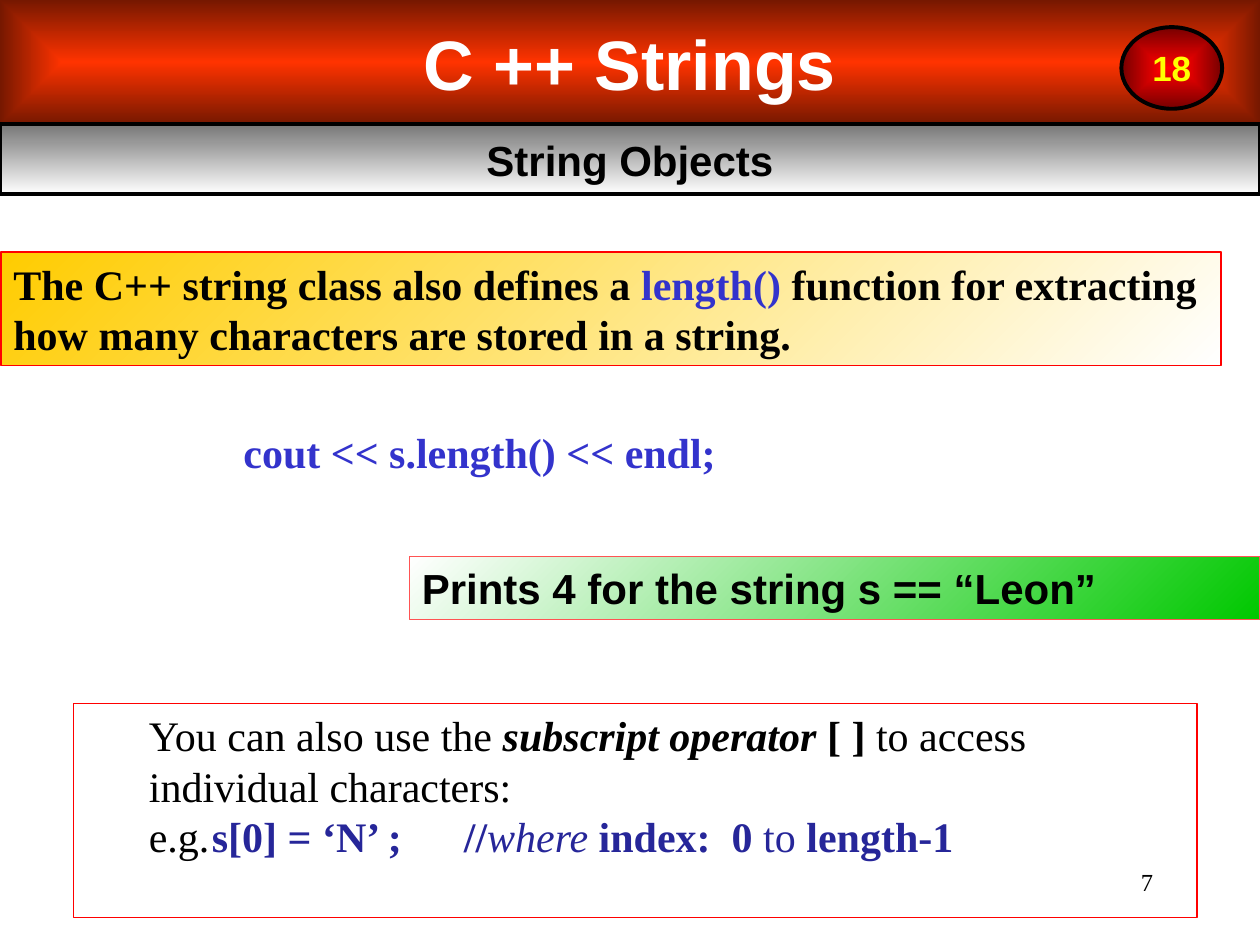
import pptx
import pptx.dml.color
import pptx.enum.shapes
import pptx.enum.text
import pptx.oxml
import pptx.oxml.ns
import pptx.util
from dataclasses import dataclass

Inches = pptx.util.Inches
Pt = pptx.util.Pt
Shape = pptx.enum.shapes.MSO_SHAPE
Align = pptx.enum.text.PP_ALIGN
Anchor = pptx.enum.text.MSO_ANCHOR

WIDTH, HEIGHT = 10, 7.5
COLUMNS, ROWS = 120, 90
SANS, SERIF = "Arial", "Times New Roman"
BLACK, WHITE, RED = "000000", "FFFFFF", "FF0000"
BLUE, NAVY = "3333CC", "262699"


@dataclass
class Box:
    """An area in inches."""
    left: float
    top: float
    width: float
    height: float

    def share(self, left, top, width, height):
        """Area inside this one, given as shares of its size."""
        return Box(self.left + left * self.width, self.top + top * self.height,
                   width * self.width, height * self.height)

    def cells(self, column, row, columns, rows):
        """Area inside this one, given in cells of the slide grid."""
        return self.share(column / COLUMNS, row / ROWS, columns / COLUMNS, rows / ROWS)

    def emu(self):
        return [Inches(side) for side in (self.left, self.top, self.width, self.height)]


def rgb(value):
    return pptx.dml.color.RGBColor.from_string(value)


def set_gradient(shape, start, end, angle=None):
    """Linear gradient at a clockwise angle, or from the centre out without one."""
    fill = shape.fill
    fill.gradient()
    for position, (stop, color) in enumerate(zip(fill.gradient_stops, (start, end))):
        stop.color.rgb = rgb(color)
        stop.position = position
    if angle is not None:
        fill.gradient_angle = 360 - angle
        return
    linear = shape._element.spPr.find(".//" + pptx.oxml.ns.qn("a:lin"))
    centre = pptx.oxml.parse_xml(
        f'<a:path {pptx.oxml.ns.nsdecls("a")} path="rect">'
        '<a:fillToRect l="50000" t="50000" r="50000" b="50000"/></a:path>')
    linear.getparent().replace(linear, centre)


def add_panel(slide, box, kind=Shape.RECTANGLE, gradient=None, line=None, weight=0.75):
    panel = slide.shapes.add_shape(kind, *box.emu())
    panel.shadow.inherit = False
    if gradient:
        set_gradient(panel, *gradient)
    else:
        panel.fill.background()
    if line:
        panel.line.color.rgb = rgb(line)
        panel.line.width = Pt(weight)
    else:
        panel.line.fill.background()
    return panel


def write(shape, lines, size, font=SERIF, color=BLACK, bold=True,
          align=Align.LEFT, anchor=Anchor.TOP, wrap=True):
    """Each line is a list of (text, overrides) runs."""
    frame = shape.text_frame
    frame.word_wrap = wrap
    frame.vertical_anchor = anchor
    for number, runs in enumerate(lines):
        paragraph = frame.add_paragraph() if number else frame.paragraphs[0]
        paragraph.alignment = align
        for text, overrides in runs:
            run = paragraph.add_run()
            run.text = text
            run.font.name = font
            run.font.size = Pt(size)
            run.font.bold = overrides.get("bold", bold)
            run.font.italic = overrides.get("italic", False)
            run.font.color.rgb = rgb(overrides.get("color", color))
    return frame.paragraphs


def indent(paragraph, margin, tabs=()):
    properties = paragraph._p.get_or_add_pPr()
    properties.set("marL", str(Inches(margin)))
    properties.set("indent", "0")
    if tabs:
        stops = "".join(f'<a:tab pos="{Inches(tab)}" algn="l"/>' for tab in tabs)
        properties.append(pptx.oxml.parse_xml(
            f'<a:tabLst {pptx.oxml.ns.nsdecls("a")}>{stops}</a:tabLst>'))


def add_header(slide, box):
    centred = {"font": SANS, "align": Align.CENTER, "anchor": Anchor.MIDDLE}
    title = add_panel(slide, box.share(0, 0, 1, 0.64), gradient=("FF3300", "761800"))
    write(title, [[("C ++ Strings", {})]], 40, color=WHITE, **centred)
    topic = add_panel(slide, box.share(0, 0.64, 1, 0.36),
                      gradient=("767676", WHITE, 90), line=BLACK, weight=2.25)
    write(topic, [[("String Objects", {})]], 24, **centred)
    badge = add_panel(slide, box.share(0.89, 0.14, 0.08, 0.42), Shape.OVAL,
                      gradient=(RED, "760000"), line=BLACK, weight=2.25)
    write(badge, [[("18", {})]], 20, color="FFFF00", wrap=False, **centred)


def add_code(slide, box):
    code = slide.shapes.add_textbox(*box.emu())
    lines = write(code, [[("cout << s.length() << endl;", {})]], 24, color=BLUE)
    indent(lines[0], 1)


def add_result(slide, box):
    result = add_panel(slide, box, gradient=(WHITE, "00C800", 45), line="FF5353")
    write(result, [[("Prints 4 for the string s == “Leon”", {})]], 24, font=SANS)


def add_definition(slide, box):
    definition = add_panel(slide, box, gradient=("FFCC00", WHITE, 45), line=RED)
    write(definition, [
        [("The C++ string class also defines a ", {}),
         ("length()", {"color": BLUE}),
         (" function for extracting", {})],
        [("how many characters are stored in a string.", {})]], 24)


def add_subscript(slide, box):
    strong = {"bold": True}
    navy = {"color": NAVY}
    navy_strong = {**navy, **strong}
    subscript = add_panel(slide, box, line=RED)
    rule, example = write(subscript, [
        [("You can also use the ", {}),
         ("subscript operator ", {"bold": True, "italic": True}),
         ("[ ] ", strong),
         ("to access individual characters:", {})],
        [("\te.g.\t", {}),
         ("s[0] = ‘N’ ;\t//", navy_strong),
         ("where", {**navy, "italic": True}),
         (" index:  0", navy_strong),
         (" to ", navy),
         ("length-1", navy_strong)]], 24, bold=False)
    indent(rule, 0.5)
    indent(example, 0, tabs=(1.91, 2.89, 4.81))


def add_slide_number(slide, box):
    number = slide.shapes.add_textbox(*box.emu())
    write(number, [[("7", {})]], 14, bold=False, align=Align.RIGHT)


def main():
    deck = pptx.Presentation()
    deck.slide_width, deck.slide_height = Inches(WIDTH), Inches(HEIGHT)
    slide = deck.slides.add_slide(deck.slide_layouts[6])
    page = Box(0, 0, WIDTH, HEIGHT)

    add_slide_number(slide, page.cells(86, 82, 25, 6))
    add_header(slide, page.cells(0, 0, 120, 18.5))
    add_code(slide, page.cells(10, 40, 105, 6))
    add_result(slide, page.cells(39, 53, 81, 6))
    add_definition(slide, page.cells(0.1, 24, 116.2, 10.8))
    add_subscript(slide, page.cells(7, 67, 107, 20.4))
    deck.save("out.pptx")


if __name__ == "__main__":
    main()
